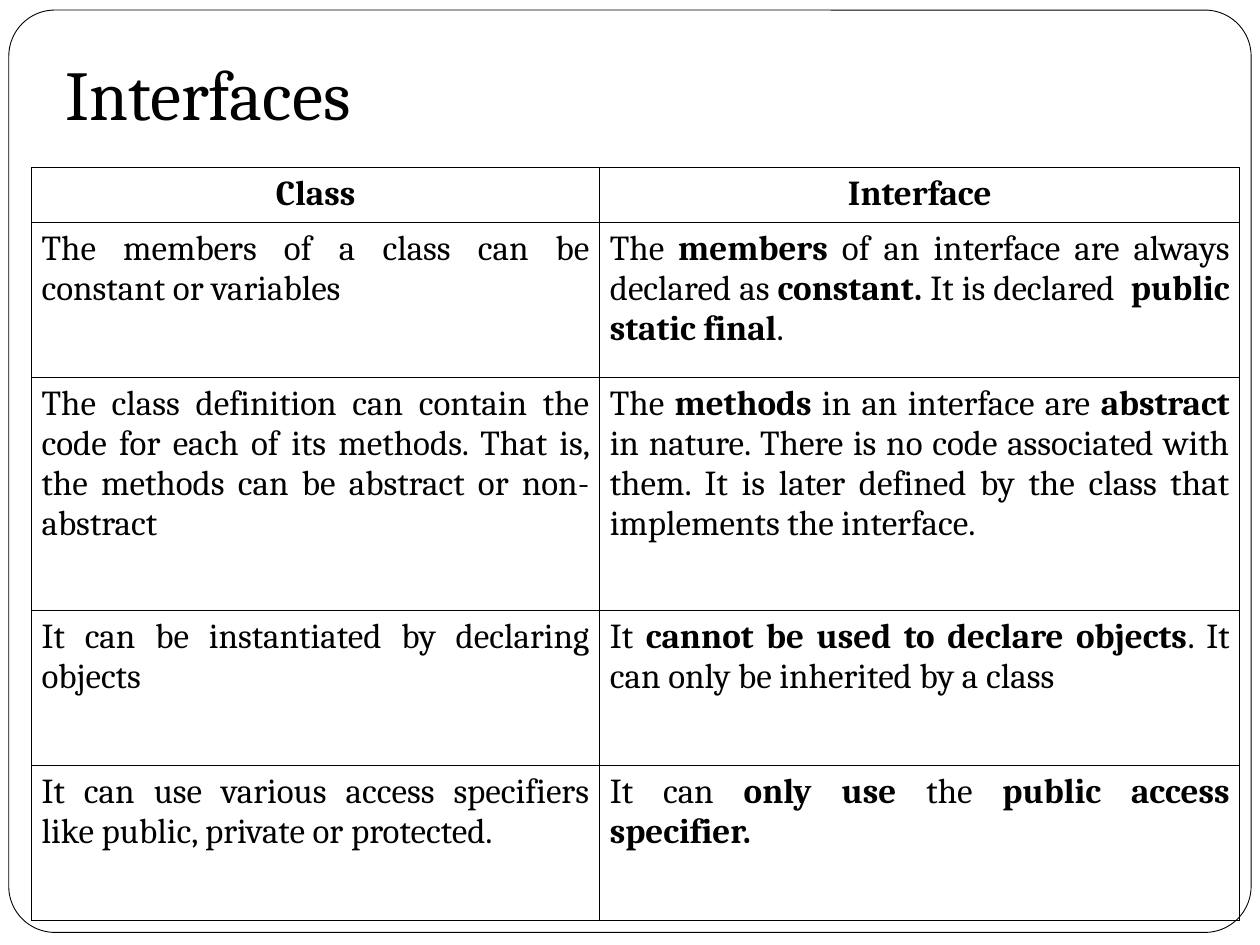
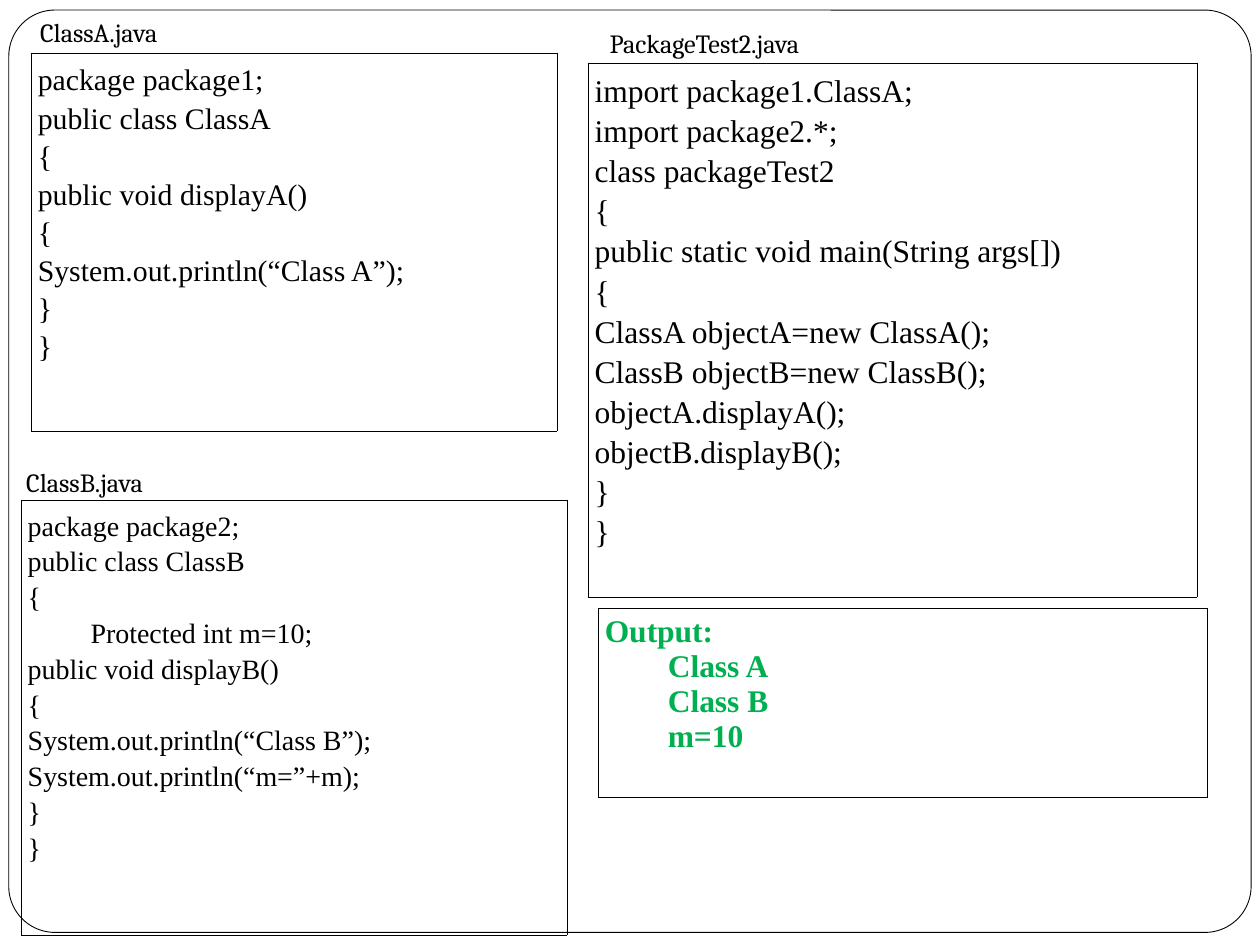
from lxml import etree
from pptx import Presentation
from pptx.dml.color import RGBColor
from pptx.enum import shapes, text
from pptx.oxml import ns
from pptx.util import Inches, Pt

BLACK = RGBColor(0x00, 0x00, 0x00)
WHITE = RGBColor(0xFF, 0xFF, 0xFF)
GREEN = RGBColor(0x00, 0xB0, 0x50)
SERIF = "Cambria"
CODE = "Times New Roman"
ALIGN = text.PP_ALIGN


def write(frame, lines, size, face=SERIF, color=BLACK, align=ALIGN.LEFT, gap=1.0):
    for i, line in enumerate(lines):
        par = frame.paragraphs[0] if i == 0 else frame.add_paragraph()
        par.alignment = align
        par.line_spacing = gap
        for j, part in enumerate(line.split("|")):
            if part:
                run = par.add_run()
                run.text = part
                run.font.size = Pt(size)
                run.font.name = face
                run.font.color.rgb = color
                run.font.bold = j % 2 == 1


def grid(slide, left, top, cols, rows, side):
    item = slide.shapes.add_table(len(rows), len(cols), Inches(left), Inches(top),
                                  Inches(sum(cols)), Inches(sum(rows)))
    table = item.table
    table.first_row = table.horz_banding = False
    for col, width in zip(table.columns, cols):
        col.width = Inches(width)
    for row, height in zip(table.rows, rows):
        row.height = Inches(height)
    for cell in table.iter_cells():
        cell.margin_left = cell.margin_right = Inches(side)
        cell.margin_top = cell.margin_bottom = Inches(0.05)
        cell.fill.background()
        props = cell._tc.get_or_add_tcPr()
        for i, edge in enumerate(("a:lnL", "a:lnR", "a:lnT", "a:lnB")):
            line = etree.Element(ns.qn(edge), w=str(Pt(0.45)))
            fill = etree.SubElement(line, ns.qn("a:solidFill"))
            etree.SubElement(fill, ns.qn("a:srgbClr"), val=str(BLACK))
            props.insert(i, line)
    return table


deck = Presentation()
deck.slide_width = Inches(10)
deck.slide_height = Inches(7.5)

for _ in range(2):
    slide = deck.slides.add_slide(deck.slide_layouts[6])
    border = slide.shapes.add_shape(shapes.MSO_SHAPE.ROUNDED_RECTANGLE,
                                    Inches(0.07), Inches(0.08), Inches(9.86), Inches(7.32))
    border.adjustments[0] = 0.05
    border.shadow.inherit = False
    border.fill.solid()
    border.fill.fore_color.rgb = WHITE
    border.line.color.rgb = BLACK
    border.line.width = Pt(0.5)
theory, sample = deck.slides

title = theory.shapes.add_textbox(Inches(0.42), Inches(0.3), Inches(9.25), Inches(0.87))
title.text_frame.word_wrap = True
title.text_frame.vertical_anchor = text.MSO_ANCHOR.BOTTOM
title.text_frame.margin_bottom = Inches(0.1)
write(title.text_frame, ["Interfaces"], 40)

PAIRS = [
    ("|Class|", "|Interface|"),
    ("The members of a class can be constant or variables",
     "The |members| of an interface are always declared as |constant. |"
     "It is declared  |public static final|."),
    ("The class definition can contain the code for each of its methods. "
     "That is, the methods can be abstract or non-abstract",
     "The |methods| in an interface are |abstract| in nature. There is no code "
     "associated with them. It is later defined by the class that implements the interface."),
    ("It can be instantiated by declaring objects",
     "It |cannot be used to declare objects|. It can only be inherited by a class"),
    ("It can use various access specifiers like public, private or protected.",
     "It can |only use |the |public access specifier.|"),
]
table = grid(theory, 0.25, 1.33, [4.51, 5.08], [0.42, 1.23, 1.85, 1.23, 1.23], 0.08)
for r, pair in enumerate(PAIRS):
    for c, words in enumerate(pair):
        align = ALIGN.CENTER if r == 0 else ALIGN.JUSTIFY
        write(table.cell(r, c).text_frame, [words], 20, align=align)

output = grid(sample, 4.75, 4.83, [4.83], [1.5], 0.05)
write(output.cell(0, 0).text_frame,
      ["|Output:|", "|\tClass A|", "|\tClass B|", "|\tm=10|"], 18, CODE, GREEN)

TEST = """import package1.ClassA;
import package2.*;
class packageTest2
{
public static void main(String args[])
{
ClassA objectA=new ClassA();
ClassB objectB=new ClassB();
objectA.displayA();
objectB.displayB();
}
}"""
CLASS_B = """package package2;
public class ClassB
{
         Protected int m=10;
public void displayB()
{
System.out.println(“Class B”);
System.out.println(“m=”+m);
}
}"""
CLASS_A = """package package1;
public class ClassA
{
public void displayA()
{
System.out.println(“Class A”);
}
}"""
LISTS = [
    (TEST, 18, 4.67, 0.5, 4.83, 4.14),
    (CLASS_B, 16, 0.17, 3.97, 4.33, 3.45),
    (CLASS_A, 17, 0.25, 0.42, 4.17, 3),
]
for code, size, left, top, width, height in LISTS:
    table = grid(sample, left, top, [width], [height], 0.05)
    write(table.cell(0, 0).text_frame, code.splitlines(), size, CODE,
          align=ALIGN.JUSTIFY, gap=1.15)

LABELS = [
    ("ClassA.java", 0.22, 0.08, 1.14),
    ("ClassB.java", 0.11, 3.65, 1.13),
    ("PackageTest2.java", 4.74, 0.17, 1.73),
]
for name, left, top, width in LABELS:
    label = sample.shapes.add_textbox(Inches(left), Inches(top), Inches(width), Inches(0.35))
    label.text_frame.word_wrap = False
    label.text_frame.auto_size = text.MSO_AUTO_SIZE.SHAPE_TO_FIT_TEXT
    write(label.text_frame, [name], 15)

deck.save("out.pptx")
